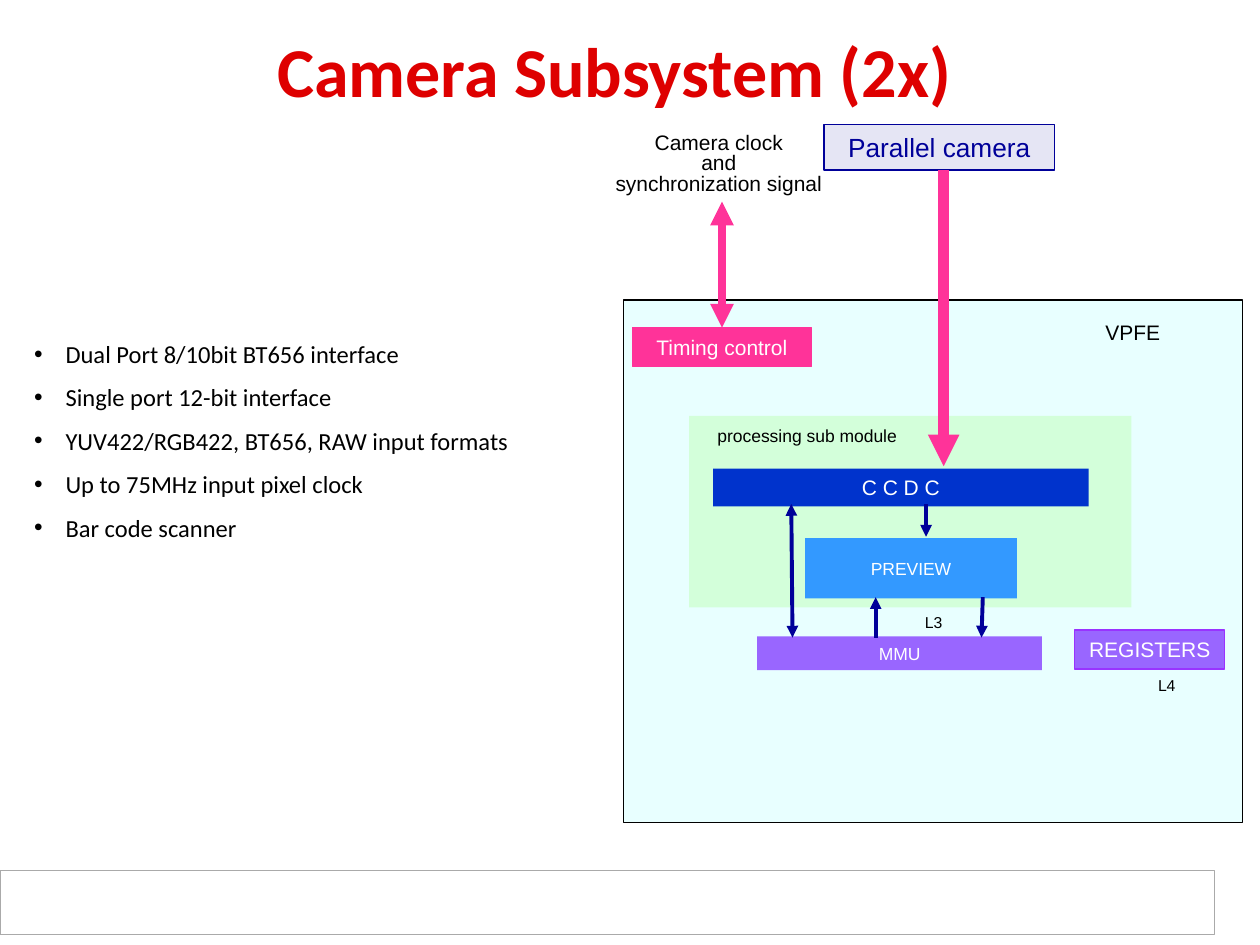
from lxml import etree
from pptx import Presentation
from pptx.dml.color import RGBColor
from pptx.enum.shapes import MSO_CONNECTOR as CONNECTOR, MSO_SHAPE as SHAPE
from pptx.enum.text import MSO_ANCHOR as ANCHOR, MSO_AUTO_SIZE as AUTO_SIZE, PP_ALIGN as ALIGN
from pptx.oxml.ns import qn
from pptx.util import Inches, Pt

COLORS = {
    "white": "FFFFFF", "black": "000000", "red": "DE0000", "gray": "AAAAAA",
    "navy": "000099", "blue": "0033CC", "sky": "3399FF", "pink": "FF3399",
    "purple": "9966FF", "violet": "9933FF", "cyan": "CCFFFF", "green": "CCFFCC",
}
FEATURES = [
    "Dual Port 8/10bit BT656 interface",
    "Single port 12-bit interface",
    "YUV422/RGB422, BT656, RAW input formats",
    "Up to 75MHz input pixel clock",
    "Bar code scanner",
]


def rgb(name):
    return RGBColor.from_string(COLORS[name])


def place(shape, box):
    shape.left, shape.top, shape.width, shape.height = (Inches(length) for length in box)


def offset(box, left, top, width, height):
    """Turn a position inside box into a position on the slide."""
    return box[0] + left, box[1] + top, width, height


def set_font(paragraph, size, color, name="Arial", bold=False):
    font = paragraph.font
    font.name, font.size, font.bold = name, Pt(size), bold
    font.color.rgb = rgb(color)


def write_centered(shape, text, size, color, line_spacing=None, space=0):
    frame = shape.text_frame
    frame.word_wrap = True
    frame.vertical_anchor = ANCHOR.MIDDLE
    frame.text = text
    for index, paragraph in enumerate(frame.paragraphs):
        paragraph.alignment = ALIGN.CENTER
        paragraph.line_spacing = line_spacing
        paragraph.space_before = Pt(space if index else 0)
        set_font(paragraph, size, color)


def add_block(slide, box, fill, line=None, opacity=100, text="", size=12, color="white"):
    shape = slide.shapes.add_shape(SHAPE.RECTANGLE, *(Inches(length) for length in box))
    shape.shadow.inherit = False
    shape.fill.solid()
    shape.fill.fore_color.rgb = rgb(fill)
    if opacity < 100:
        fill_color = shape.element.spPr.find(qn("a:solidFill"))[0]
        etree.SubElement(fill_color, qn("a:alpha"), val=str(opacity * 1000))
    if line:
        shape.line.color.rgb = rgb(line)
        shape.line.width = Pt(0.75)
    else:
        shape.line.fill.background()
    if text:
        write_centered(shape, text, size, color)
    return shape


def add_label(slide, box, text, size, **spacing):
    label = slide.shapes.add_textbox(*(Inches(length) for length in box))
    write_centered(label, text, size, "black", **spacing)
    return label


def add_arrow(slide, start, end, color, width, both=False):
    """Draw an arrow to end, or to both ends."""
    points = (Inches(length) for length in (*start, *end))
    arrow = slide.shapes.add_connector(CONNECTOR.STRAIGHT, *points)
    arrow.line.color.rgb = rgb(color)
    arrow.line.width = Pt(width)
    line = arrow.line._get_or_add_ln()
    for tag in ("a:headEnd", "a:tailEnd") if both else ("a:tailEnd",):
        etree.SubElement(line, qn(tag), type="triangle")
    etree.SubElement(arrow._element.spPr, qn("a:effectLst"))
    return arrow


def add_title(slide, box):
    title = slide.shapes.title
    place(title, box)
    title.text_frame.text = "Camera Subsystem (2x)"
    title.text_frame.auto_size = AUTO_SIZE.NONE
    title.text_frame.vertical_anchor = ANCHOR.MIDDLE
    paragraph = title.text_frame.paragraphs[0]
    paragraph.alignment = ALIGN.CENTER
    paragraph.line_spacing = 0.85
    set_font(paragraph, 40, "red", "Calibri", bold=True)


def add_features(slide, box):
    body = slide.placeholders[1]
    place(body, box)
    frame = body.text_frame
    frame.text = "\n".join(FEATURES)
    frame.auto_size = AUTO_SIZE.NONE
    for index, paragraph in enumerate(frame.paragraphs):
        properties = paragraph._p.get_or_add_pPr()
        properties.set("marL", str(Inches(0.25)))
        properties.set("indent", str(-Inches(0.25)))
        etree.SubElement(properties, qn("a:buFont"), typeface="Arial")
        etree.SubElement(properties, qn("a:buChar"), char="•")
        paragraph.space_before = Pt(8 if index else 0)
        set_font(paragraph, 14, "black", "Calibri")


def add_processing(slide, box):
    """Draw the processing sub module with the memory unit below it."""
    left, top = box[:2]
    add_block(slide, box, "green", opacity=72)
    add_block(slide, offset(box, 0.92, 0.97, 1.68, 0.48), "sky", text="PREVIEW", size=10)
    add_block(slide, offset(box, 0.19, 0.42, 2.98, 0.3), "blue", text="C C D C")
    add_block(slide, offset(box, 0.54, 1.75, 2.26, 0.27), "purple", text="MMU", size=10)
    add_label(slide, offset(box, 0.05, 0.02, 1.77, 0.27), "processing sub module", 10)
    add_label(slide, offset(box, 1.55, 1.51, 0.78, 0.25), "L3", 9)
    for x1, y1, x2, y2, both in [
        (1.88, 0.7, 1.88, 0.96, False),
        (2.33, 1.44, 2.32, 1.76, False),
        (0.81, 0.7, 0.82, 1.76, True),
        (1.48, 1.76, 1.48, 1.44, False),
    ]:
        add_arrow(slide, (left + x1, top + y1), (left + x2, top + y2), "navy", 2.25, both)


def add_vpfe(slide, box):
    """Draw the front end and return its timing control block."""
    add_block(slide, box, "cyan", "black", opacity=44)
    add_processing(slide, offset(box, 0.52, 0.92, 3.51, 1.52))
    add_block(slide, offset(box, 3.58, 2.62, 1.19, 0.31), "purple", "violet", text="REGISTERS")
    add_label(slide, offset(box, 3.65, 0.11, 0.78, 0.3), "VPFE", 12)
    add_label(slide, offset(box, 3.92, 2.93, 0.78, 0.25), "L4", 9)
    return add_block(slide, offset(box, 0.07, 0.22, 1.42, 0.31), "pink", "pink",
                     text="Timing control")


def add_camera_inputs(slide, box, timing_control):
    left, top = box[:2]
    add_block(slide, offset(box, 1.88, 0, 1.83, 0.36), "navy", "navy", opacity=10,
              text="Parallel camera", size=15, color="navy")
    add_arrow(slide, (left + 2.83, top + 0.36), (left + 2.83, top + 2.71), "pink", 6)
    clock = add_label(slide, offset(box, 0, 0.09, 2.09, 0.54),
                      "Camera clock\nand\nsynchronization signal", 12,
                      line_spacing=0.4, space=6)
    clock.text_frame.vertical_anchor = ANCHOR.TOP
    signal = add_arrow(slide, (left + 1.07, top + 1.61), (left + 1.07, top + 0.61),
                       "pink", 4.5, both=True)
    signal.begin_connect(timing_control, 0)


def main():
    presentation = Presentation()
    presentation.slide_width, presentation.slide_height = Inches(10), Inches(7.5)
    slide = presentation.slides.add_slide(presentation.slide_layouts[1])
    add_block(slide, (0, 6.91, 9.64, 0.51), "white", "gray")
    add_features(slide, (0.17, 2.64, 4.48, 3.32))
    add_title(slide, (0.25, 0.16, 9.25, 0.89))
    timing_control = add_vpfe(slide, (4.95, 2.38, 4.91, 4.15))
    add_camera_inputs(slide, (4.66, 0.99, 3.71, 2.71), timing_control)
    presentation.save("out.pptx")


if __name__ == "__main__":
    main()
